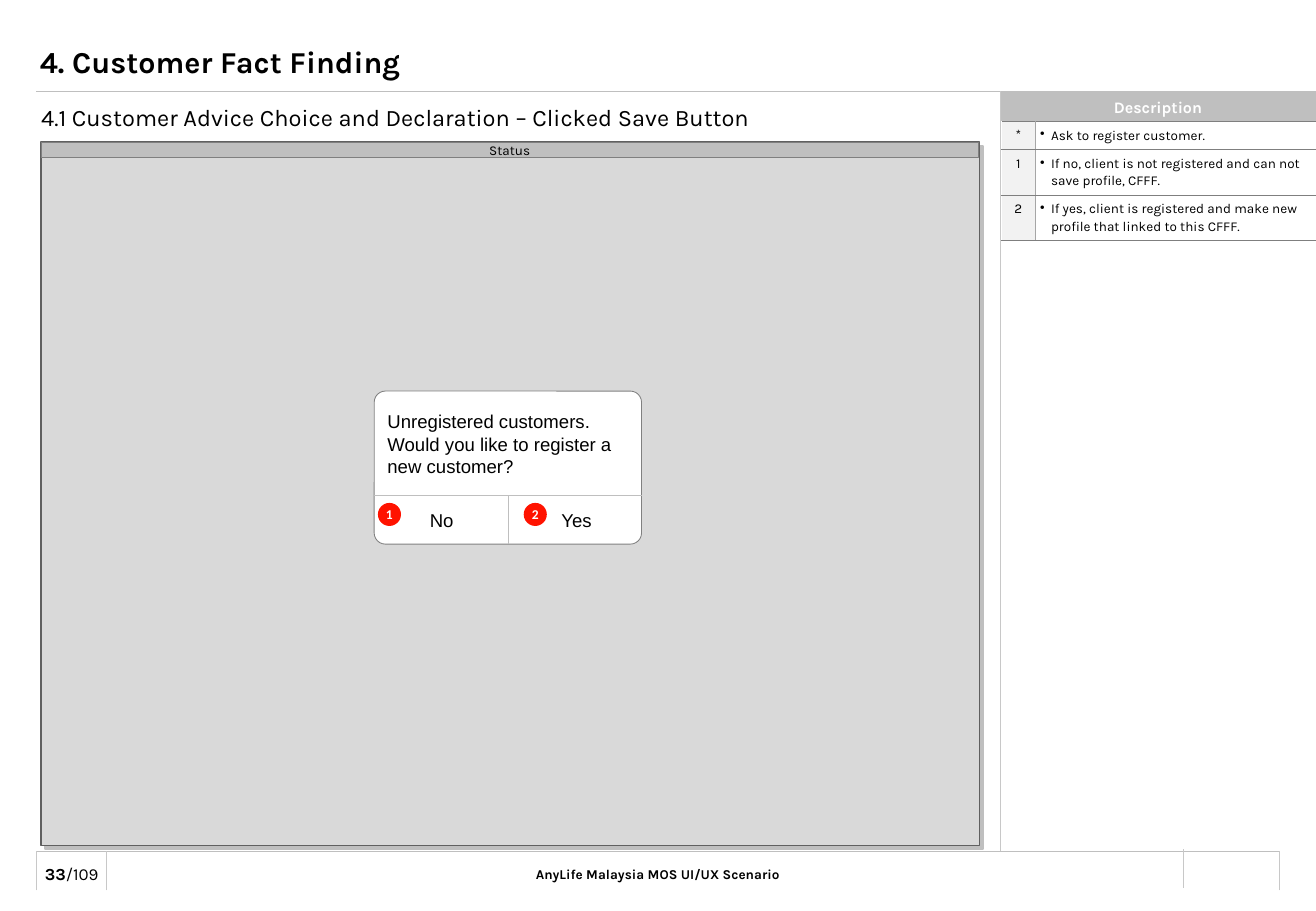
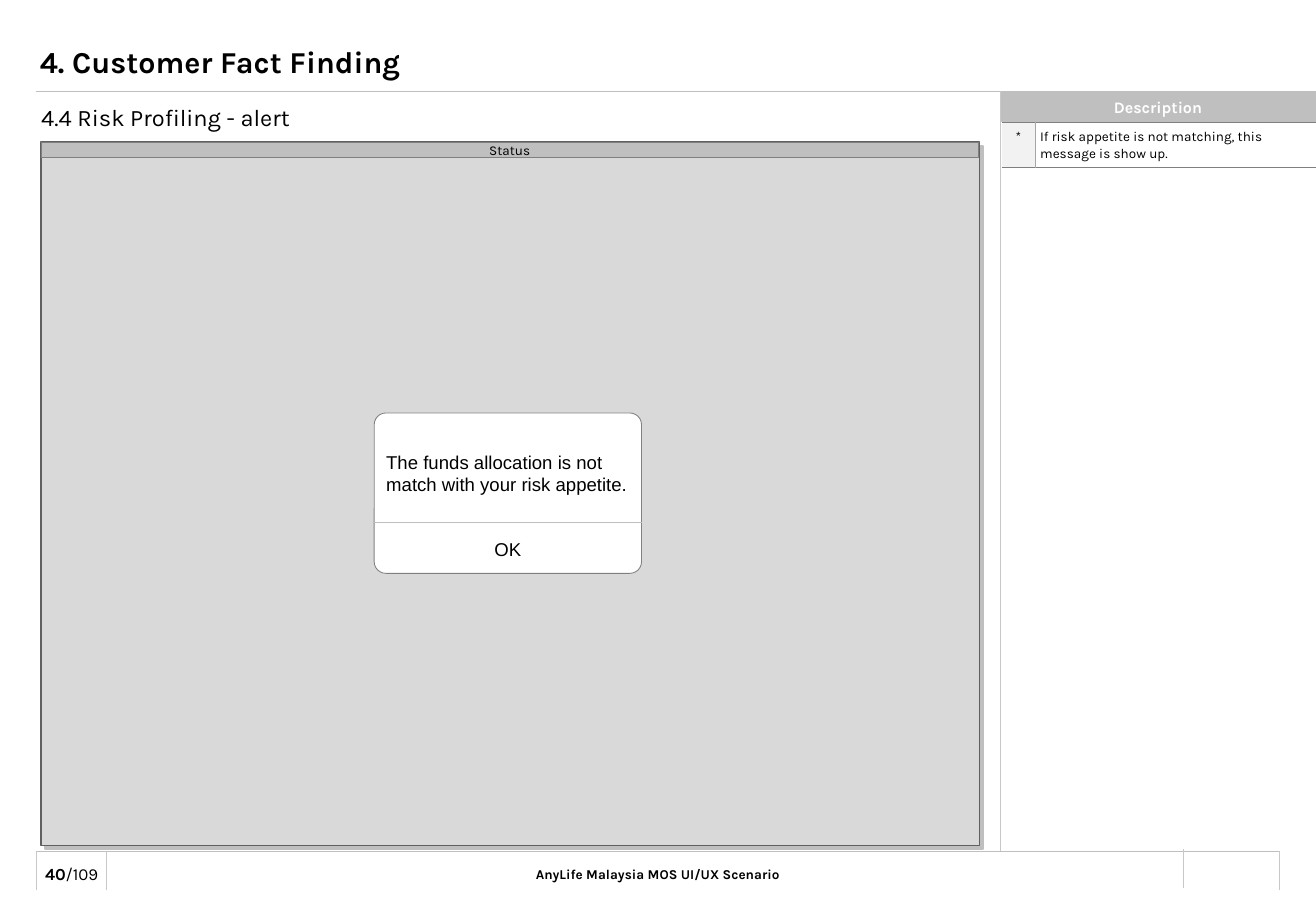
from lxml import etree
from pptx import Presentation
from pptx import util as u
from pptx.dml.color import RGBColor
from pptx.enum import shapes, text
from pptx.oxml.ns import qn

PX = 9144  # 100 px to the inch
W, H = 1083, 750
C = {
    "black": "000000", "white": "FFFFFF", "band": "BFBFBF", "rule": "C8C8C8",
    "screen": "D9D9D9", "frame": "606060", "bar": "7F7F7F", "dialog": "808080",
    "key": "F2F2F2", "split": "A6A6A6", "badge": "FF1300",
}
CENTER = text.PP_ALIGN.CENTER
MIDDLE = text.MSO_ANCHOR.MIDDLE
RECT = shapes.MSO_SHAPE.RECTANGLE
LEFT, FRAME_W, DIALOG_X, DIALOG_W = 34, 772, 308, 220
SIDE = 823
FOOT = 701

# (x1, y1, x2, y2, colour, points)
FRAME_RULES = [
    (30, 75, 1053, 75, "band", 0.5),
    (30, FOOT, 1053, FOOT, "band", 0.5),
    (974, 731, 974, 699, "rule", 0.5),
    *[(x, 733, x, FOOT, "rule", 0.5) for x in (30, 88, 1053)],
    (SIDE, 75, SIDE, FOOT, "rule", 0.5),
]

SLIDES = [
    dict(
        page="33",
        subtitle="4.1 Customer Advice Choice and Declaration – Clicked Save Button",
        table_top=100,
        bullets=True,
        notes=[
            ("*", "Ask to register customer.", 23),
            ("1", "If no, client is not registered and can not save profile, CFFF.", 37),
            ("2", "If yes, client is registered and make new profile that linked to this CFFF.", 37),
        ],
        dialog=(322, 126),
        split=408,
        message=("Unregistered customers. Would you like to register a new customer?", (309, 333, 220, 66)),
        button_top=414,
        buttons=[("No", 308, 111), ("Yes", 419, 111)],
        badges=[("1", 311), ("2", 431)],
        dividers=[418],
    ),
    dict(
        page="40",
        subtitle="4.4 Risk Profiling - alert",
        table_top=101,
        bullets=False,
        notes=[("*", "If risk appetite is not matching, this message is show up.", 37)],
        dialog=(340, 132),
        split=430,
        message=("The funds allocation is not match with your risk appetite.", (308, 366, 220, 47)),
        button_top=438,
        buttons=[("OK", 308, 220)],
        badges=[],
        dividers=[],
    ),
]


def write(tf, runs, size, font="Karla", color="black", align=None):
    """Fill the first paragraph with (text, bold) runs and return it."""
    p = tf.paragraphs[0]
    p.alignment = align
    for words, bold in runs:
        r = p.add_run()
        r.text = words
        r.font.name = font
        r.font.size = u.Pt(size)
        r.font.bold = bold
        r.font.color.rgb = RGBColor.from_string(C[color])
    return p


def box(s, kind, at, fill=None, line=None, width=0.5, anchor=None, inset=(10, 5), wrap=True):
    """Add a preset shape, or a text box when kind is None."""
    at = [v * PX for v in at]
    if kind is None:
        sp = s.shapes.add_textbox(*at)
    else:
        sp = s.shapes.add_shape(kind, *at)
        sp.shadow.inherit = False
        sp.fill.solid()
        sp.fill.fore_color.rgb = RGBColor.from_string(C[fill])
        if line:
            sp.line.color.rgb = RGBColor.from_string(C[line])
            sp.line.width = u.Pt(width)
        else:
            sp.line.fill.background()
    tf = sp.text_frame
    tf.word_wrap = wrap
    tf.vertical_anchor = anchor or text.MSO_ANCHOR.TOP
    tf.margin_left = tf.margin_right = inset[0] * PX
    tf.margin_top = tf.margin_bottom = inset[1] * PX
    return sp


prs = Presentation()
prs.slide_width, prs.slide_height = W * PX, H * PX

for d in SLIDES:
    s = prs.slides.add_slide(prs.slide_layouts[6])

    # Footer, side band and headings
    sp = box(s, None, (348, 708, 387, 24))
    write(sp.text_frame, [("AnyLife Malaysia MOS UI/UX Scenario", True)], 8, align=CENTER)
    sp = box(s, None, (26, 706, 66, 26), anchor=MIDDLE, inset=(9, 4), wrap=False)
    write(sp.text_frame, [(d["page"], True), ("/109", False)], 10, align=CENTER)
    sp = box(s, RECT, (SIDE, 75, W - SIDE, 27), "band", anchor=MIDDLE, inset=(0, 0), wrap=False)
    write(sp.text_frame, [("Description", True)], 9.5, color="white", align=CENTER)
    sp = box(s, None, (23, 26, 975, 49), anchor=MIDDLE)
    write(sp.text_frame, [("4. Customer Fact Finding", True)], 18)
    sp = box(s, None, (24, 80, 756, 31))
    write(sp.text_frame, [(d["subtitle"], False)], 14)

    # Description table
    notes = d["notes"]
    height = sum(n[2] for n in notes)
    tbl = s.shapes.add_table(len(notes), 2, 824 * PX, d["table_top"] * PX, 259 * PX, height * PX).table
    tbl.first_row = tbl.horz_banding = False
    tbl.columns[0].width, tbl.columns[1].width = 28 * PX, 231 * PX
    for i, (key, note, row_h) in enumerate(notes):
        tbl.rows[i].height = row_h * PX
        for j, words in enumerate((key, note)):
            cell = tbl.cell(i, j)
            cell.margin_left = cell.margin_right = (0, 4)[j] * PX
            cell.margin_top = cell.margin_bottom = (5, 4)[j] * PX
            cell.fill.solid()
            cell.fill.fore_color.rgb = RGBColor.from_string(C[("key", "white")[j]])
            p = write(cell.text_frame, [(words, False)], 8, align=(CENTER, None)[j])
            if j == 1:
                p.line_spacing = 1.1
                if d["bullets"]:
                    pPr = p._p.get_or_add_pPr()
                    pPr.set("marL", str(9 * PX))
                    pPr.set("indent", str(-9 * PX))
                    etree.SubElement(pPr, qn("a:buChar")).set("char", "•")
            borders = [("a:lnT", "bar", 0.5), ("a:lnB", "bar", 0.5)]
            if j == 0:
                borders.insert(0, ("a:lnR", "split", 0.25))
            else:
                borders[:0] = [("a:lnL", "split", 0.25), ("a:lnR", "bar", 0.5)]
            tcPr = cell._tc.get_or_add_tcPr()
            for n, (tag, color, width) in enumerate(borders):
                ln = etree.Element(qn(tag), w=str(u.Pt(width)))
                etree.SubElement(etree.SubElement(ln, qn("a:solidFill")), qn("a:srgbClr")).set("val", C[color])
                tcPr.insert(n, ln)

    # Device screen with its shadow and status bar
    sp = box(s, RECT, (LEFT, 117, FRAME_W, 579), "screen", "frame", 1)
    effects = sp._element.spPr.find(qn("a:effectLst"))
    shadow = etree.SubElement(effects, qn("a:outerShdw"), dist=str(u.Pt(3)), dir="2700000", algn="tl", rotWithShape="0")
    etree.SubElement(shadow, qn("a:srgbClr")).set("val", C["band"])
    sp = box(s, RECT, (LEFT, 117, FRAME_W - 1, 13), "band", "bar", anchor=MIDDLE, wrap=False)
    write(sp.text_frame, [("Status", False)], 8, align=CENTER)

    # Dialog
    top, height = d["dialog"]
    sp = box(s, shapes.MSO_SHAPE.ROUNDED_RECTANGLE, (DIALOG_X, top, DIALOG_W, height), "white", "dialog")
    sp.adjustments[0] = 0.073
    message, at = d["message"]
    write(box(s, None, at).text_frame, [(message, False)], 11, "Arial")
    for label, x, w in d["buttons"]:
        sp = box(s, None, (x, d["button_top"], w, 29))
        write(sp.text_frame, [(label, False)], 11, "Arial", align=CENTER)
    for label, x in d["badges"]:
        sp = box(s, shapes.MSO_SHAPE.OVAL, (x, d["button_top"], 19, 19), "badge",
                 anchor=MIDDLE, inset=(0, 0), wrap=False)
        write(sp.text_frame, [(label, True)], 8, "Calibri", "white", CENTER)

    # Rules of the page and of the dialog
    split = d["split"]
    dialog_rules = [(DIALOG_X, split, DIALOG_X + DIALOG_W, split, "band", 0.25)]
    dialog_rules += [(x, split, x, top + height, "band", 0.25) for x in d["dividers"]]
    for *ends, color, width in FRAME_RULES + dialog_rules:
        ln = s.shapes.add_connector(shapes.MSO_CONNECTOR.STRAIGHT, *[v * PX for v in ends])
        ln.line.color.rgb = RGBColor.from_string(C[color])
        ln.line.width = u.Pt(width)
        etree.SubElement(ln._element.spPr, qn("a:effectLst"))

prs.save("out.pptx")
